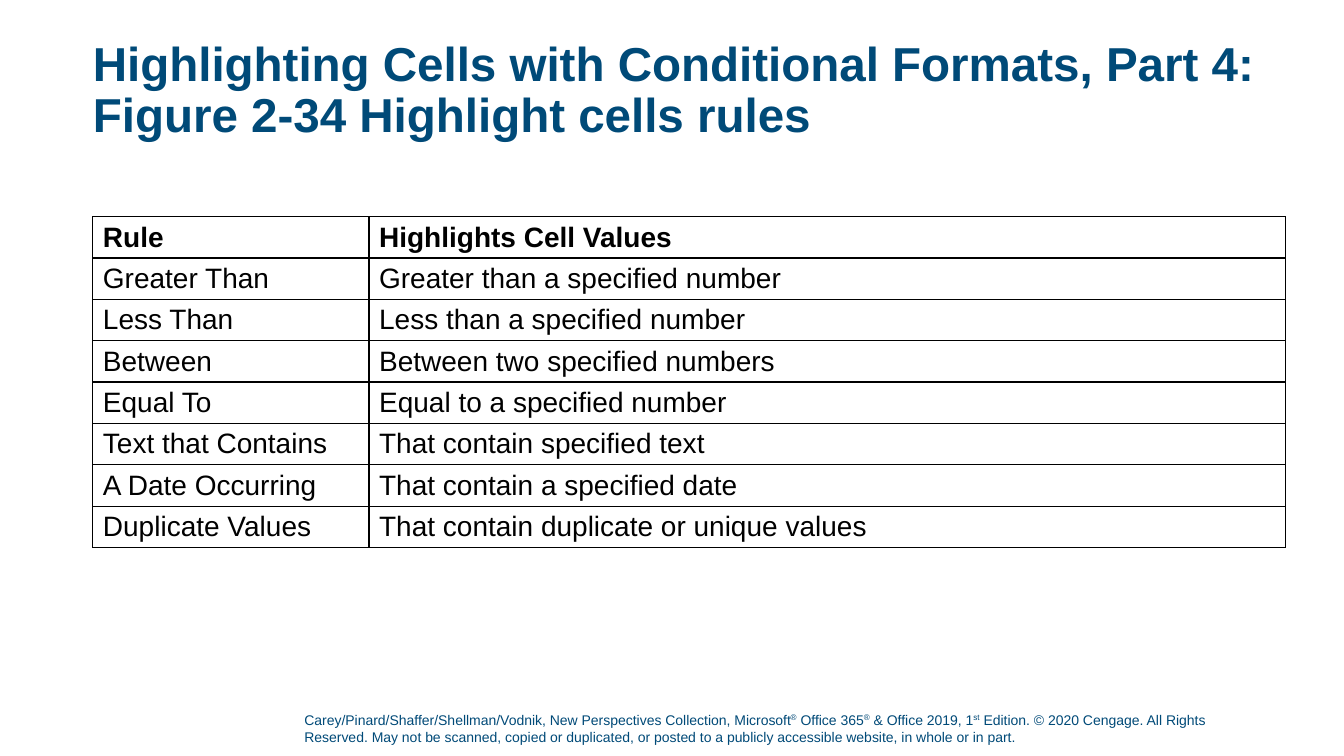
from lxml.etree import SubElement as Sub
from pptx import Presentation
from pptx.dml.color import RGBColor
from pptx.enum.text import MSO_ANCHOR as Anchor, MSO_AUTO_SIZE as Auto, PP_ALIGN as Align
from pptx.oxml.ns import qn
from pptx.util import Cm, Pt

BLUE = RGBColor(0x00, 0x4A, 0x78)
BLACK = RGBColor(0x00, 0x00, 0x00)
WHITE = RGBColor(0xFF, 0xFF, 0xFF)

TITLE = "Highlighting Cells with Conditional Formats, Part 4: Figure 2-34 Highlight cells rules"
RULES = [
    ("Rule", "Highlights Cell Values"),
    ("Greater Than", "Greater than a specified number"),
    ("Less Than", "Less than a specified number"),
    ("Between", "Between two specified numbers"),
    ("Equal To", "Equal to a specified number"),
    ("Text that Contains", "That contain specified text"),
    ("A Date Occurring", "That contain a specified date"),
    ("Duplicate Values", "That contain duplicate or unique values"),
]
RIGHTS = [
    ("Carey/Pinard/Shaffer/Shellman/Vodnik, New Perspectives Collection, Microsoft", False),
    ("®", True),
    (" Office 365", False),
    ("®", True),
    (" & Office 2019, 1", False),
    ("st", True),
    (" Edition. © 2020 Cengage. All Rights Reserved. May not be scanned, copied or "
     "duplicated, or posted to a publicly accessible website, in whole or in part.", False),
]


class Deck:
    """Hold the text style and the current slide, and add its elements."""

    def __init__(self, face):
        self.face = face
        self.prs = Presentation()
        self.prs.slide_width, self.prs.slide_height = Cm(33.87), Cm(19.05)
        self.slide = self.prs.slides.add_slide(self.prs.slide_layouts[5])

    def style(self, run, size, color, bold=False):
        font = run.font
        font.name, font.size, font.bold = self.face, Pt(size), bold
        font.color.rgb = color

    def frame(self, shape, anchor, foot=0):
        frame = shape.text_frame
        frame.word_wrap, frame.auto_size = True, Auto.NONE
        frame.vertical_anchor = anchor
        frame.margin_left = frame.margin_right = frame.margin_top = 0
        frame.margin_bottom = Cm(foot)
        return frame

    def title(self, text, left, top, width, height):
        shape = self.slide.shapes.title
        shape.left, shape.top = Cm(left), Cm(top)
        shape.width, shape.height = Cm(width), Cm(height)
        shape.fill.solid()
        shape.fill.fore_color.rgb = WHITE
        frame = self.frame(shape, Anchor.TOP)
        frame.text = text
        para = frame.paragraphs[0]
        para.alignment, para.line_spacing = Align.LEFT, 0.9
        self.style(para.runs[0], 34, BLUE, True)

    def border(self, cell):
        props = cell._tc.get_or_add_tcPr()
        for side in ("a:lnL", "a:lnR", "a:lnT", "a:lnB"):
            line = Sub(props, qn(side), w=str(Pt(1)))
            fill = Sub(line, qn("a:solidFill"))
            Sub(fill, qn("a:srgbClr"), val=str(BLACK))

    def table(self, rows, left, top, widths, step):
        shape = self.slide.shapes.add_table(
            len(rows), len(widths), Cm(left), Cm(top), Cm(sum(widths)), Cm(step * len(rows)))
        grid = shape.table
        grid.first_row = grid.horz_banding = False
        for col, width in zip(grid.columns, widths):
            col.width = Cm(width)
        for r, row in enumerate(rows):
            grid.rows[r].height = Cm(step)
            for c, text in enumerate(row):
                cell = grid.cell(r, c)
                cell.text = text
                self.style(cell.text_frame.paragraphs[0].runs[0], 20, BLACK, r == 0)
                self.border(cell)
                cell.fill.solid()
                cell.fill.fore_color.rgb = WHITE

    def footer(self, parts, left, top, width, height):
        box = self.slide.shapes.add_textbox(Cm(left), Cm(top), Cm(width), Cm(height))
        para = self.frame(box, Anchor.BOTTOM, 0.13).paragraphs[0]
        for text, raised in parts:
            run = para.add_run()
            run.text = text
            self.style(run, 10, BLUE)
            if raised:
                run._r.get_or_add_rPr().set("baseline", "30000")


def main():
    deck = Deck("Arial")
    deck.footer(RIGHTS, 7.67, 17.91, 24.16, 0.99)
    deck.title(TITLE, 2.34, 1.02, 30.33, 2.79)
    deck.table(RULES, 2.34, 5.46, (6.96, 23.09), 1.04)
    deck.prs.save("out.pptx")


if __name__ == "__main__":
    main()
